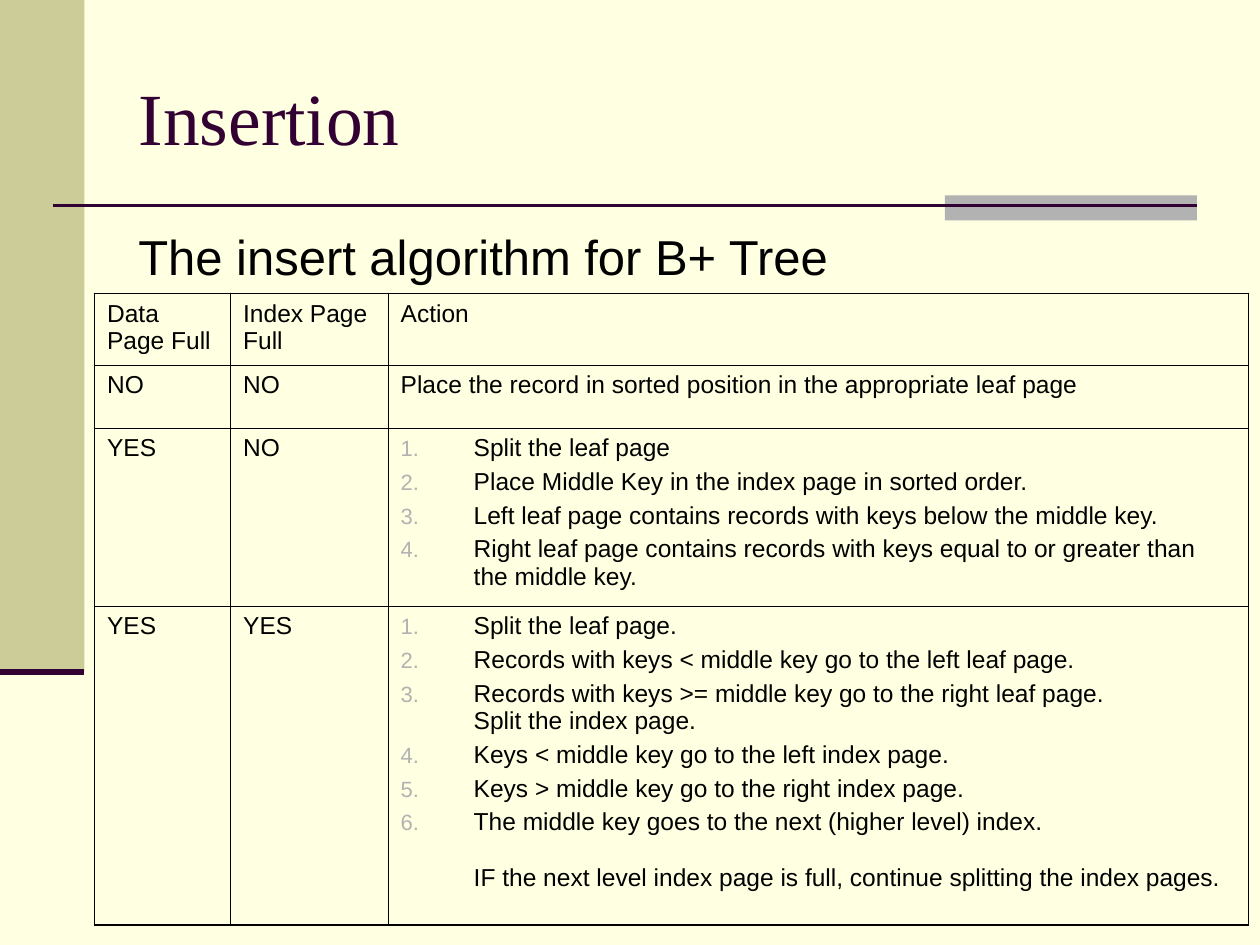
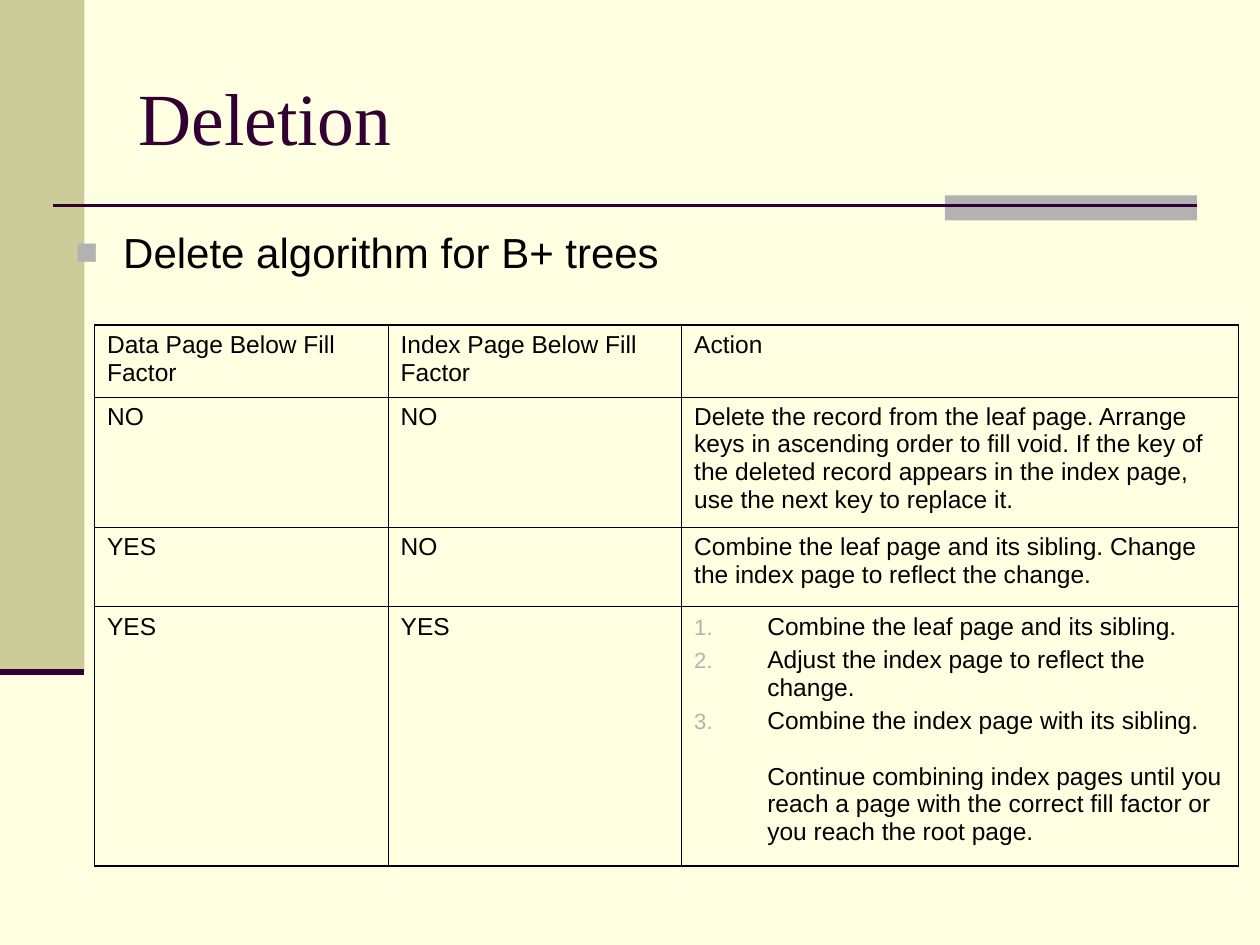
import collections

import lxml.etree
import pptx
import pptx.dml.color
import pptx.enum.shapes
import pptx.enum.text
import pptx.oxml.ns
import pptx.util

Inches = pptx.util.Inches
Pt = pptx.util.Pt

PAPER, OLIVE, GREY, PLUM, INK = "FFFFE1", "CCCC99", "B2B2B2", "330033", "000000"
OUTER_RULE, INNER_RULE = 1.08, 0.45

Steps = collections.namedtuple("Steps", "items note")


def rgb(value):
    """Turn a hex string into a colour."""
    return pptx.dml.color.RGBColor.from_string(value)


def apply(target, values):
    """Set each named attribute on the target."""
    for name, value in values.items():
        setattr(target, name, value)


def add_xml(parent, tag, **attributes):
    """Append a DrawingML element and return it."""
    return lxml.etree.SubElement(parent, pptx.oxml.ns.qn(tag), attributes)


class Deck:
    """Hold the shared style and the current slide."""

    title_font = {"name": "Times New Roman", "size": Pt(42), "bold": False}
    body_font = {"name": "Arial", "bold": False}
    cell_font = {**body_font, "size": Pt(14)}

    def __init__(self):
        """Open a 4:3 presentation on the paper colour."""
        self.prs = pptx.Presentation()
        apply(self.prs, {"slide_width": Inches(10), "slide_height": Inches(7.5)})
        self.fill(self.prs.slide_master.background, PAPER)
        self.slide = None

    def fill(self, target, colour):
        """Give the target a solid fill."""
        target.fill.solid()
        target.fill.fore_color.rgb = rgb(colour)

    def band(self, left, top, width, height, colour):
        """Draw a plain filled rectangle."""
        band = self.slide.shapes.add_shape(
            pptx.enum.shapes.MSO_SHAPE.RECTANGLE,
            Inches(left), Inches(top), Inches(width), Inches(height))
        self.fill(band, colour)
        band.line.fill.background()
        band.shadow.inherit = False

    def rule(self, start, end, y, weight):
        """Draw a horizontal line."""
        rule = self.slide.shapes.add_connector(
            pptx.enum.shapes.MSO_CONNECTOR.STRAIGHT,
            Inches(start), Inches(y), Inches(end), Inches(y))
        rule.line.width = Pt(weight)
        rule.line.color.rgb = rgb(PLUM)
        add_xml(rule.element.spPr, "a:effectLst")

    def set_text(self, paragraph, text, font, colour, **spacing):
        """Fill a left-aligned paragraph with styled text."""
        paragraph.text = text
        apply(paragraph, {"alignment": pptx.enum.text.PP_ALIGN.LEFT, **spacing})
        for run in paragraph.runs:
            apply(run.font, font)
            run.font.color.rgb = rgb(colour)

    def hang(self, paragraph, indent, marker=None, **attributes):
        """Give a paragraph a hanging indent and an optional marker."""
        props = paragraph._p.get_or_add_pPr()
        props.set("marL", str(Inches(indent)))
        props.set("indent", str(-Inches(indent) if marker else 0))
        if marker:
            add_xml(add_xml(props, "a:buClr"), "a:srgbClr", val=GREY)
            add_xml(props, "a:buSzPct", val="90000")
            add_xml(props, "a:buFont", typeface="Arial")
            add_xml(props, marker, **attributes)

    def start(self, title):
        """Begin a slide with its bands, rules and title."""
        self.slide = self.prs.slides.add_slide(self.prs.slide_layouts[5])
        self.band(0, 0, 0.67, 5.33, OLIVE)
        self.band(7.5, 1.55, 2, 0.2, GREY)
        self.rule(0.42, 9.5, 1.63, 1.5)
        self.rule(0, 0.67, 5.33, 3.5)
        heading = self.slide.shapes.title
        apply(heading, {"left": Inches(1), "top": Inches(0.3),
                        "width": Inches(8.5), "height": Inches(1.25)})
        heading.text_frame.vertical_anchor = pptx.enum.text.MSO_ANCHOR.MIDDLE
        self.set_text(heading.text_frame.paragraphs[0], title, self.title_font, PLUM)

    def subtitle(self, text, left, width, size, before, bullet=False):
        """Add the line that introduces the table."""
        box = self.slide.shapes.add_textbox(
            Inches(left), Inches(1.75), Inches(width), Inches(4.95))
        box.text_frame.word_wrap = True
        line = box.text_frame.paragraphs[0]
        self.set_text(line, text, {**self.body_font, "size": Pt(size)}, INK,
                      space_before=Pt(before))
        if bullet:
            self.hang(line, 0.38, "a:buChar", char="■")

    def steps(self, frame, steps):
        """Add numbered steps and a closing note."""
        for number, text in enumerate(steps.items):
            step = frame.add_paragraph() if number else frame.paragraphs[0]
            self.set_text(step, text, self.cell_font, INK, space_before=Pt(3.5))
            self.hang(step, 0.58, "a:buAutoNum", type="arabicPeriod")
        if steps.note:
            note = frame.add_paragraph()
            self.set_text(note, steps.note, self.cell_font, INK, space_before=Pt(16))
            self.hang(note, 0.58)

    def borders(self, cell, outer):
        """Rule the four sides, heavier on the outer ones."""
        props = cell._tc.get_or_add_tcPr()
        for position, side in enumerate("LRTB"):
            weight = OUTER_RULE if side in outer else INNER_RULE
            line = add_xml(props, f"a:ln{side}", w=str(Pt(weight)))
            add_xml(add_xml(line, "a:solidFill"), "a:srgbClr", val=INK)
            props.insert(position, line)

    def table(self, top, widths, heights, rows):
        """Add a ruled table of conditions and actions."""
        grid = self.slide.shapes.add_table(
            len(rows), len(widths), Inches(0.75), Inches(top),
            Inches(sum(widths)), Inches(sum(heights))).table
        apply(grid, {"first_row": False, "horz_banding": False})
        for column, width in zip(grid.columns, widths):
            column.width = Inches(width)
        for row, height in zip(grid.rows, heights):
            row.height = Inches(height)
        for r, row in enumerate(rows):
            for c, content in enumerate(row):
                cell = grid.cell(r, c)
                cell.fill.background()
                edges = {"L": c == 0, "R": c == len(widths) - 1,
                         "T": r == 0, "B": r == len(rows) - 1}
                self.borders(cell, [side for side, outer in edges.items() if outer])
                if isinstance(content, str):
                    self.set_text(cell.text_frame.paragraphs[0], content,
                                  self.cell_font, INK, space_before=Pt(3.5))
                else:
                    self.steps(cell.text_frame, content)


def main():
    """Build the insertion and deletion slides."""
    deck = Deck()

    deck.start("Insertion")
    deck.subtitle("The insert algorithm for B+ Tree", 1, 8.5, 28, 7)
    leaf_split = Steps([
        "Split the leaf page",
        "Place Middle Key in the index page in sorted order.",
        "Left leaf page contains records with keys below the middle key.",
        "Right leaf page contains records with keys equal to or greater than "
        "the middle key.",
    ], None)
    index_split = Steps([
        "Split the leaf page.",
        "Records with keys < middle key go to the left leaf page.",
        "Records with keys >= middle key go to the right leaf page. \v"
        "Split the index page.",
        "Keys < middle key go to the left index page.",
        "Keys > middle key go to the right index page.",
        "The middle key goes to the next (higher level) index.",
    ], "IF the next level index page is full, continue splitting the index pages.")
    deck.table(2.33, [1.08, 1.25, 6.83], [0.57, 0.5, 1.41, 2.53], [
        ("Data Page Full", "Index Page Full", "Action"),
        ("NO", "NO",
         "Place the record in sorted position in the appropriate leaf page"),
        ("YES", "NO", leaf_split),
        ("YES", "YES", index_split),
    ])

    deck.start("Deletion")
    deck.subtitle("Delete algorithm for B+ trees", 0.5, 9.5, 24, 6, bullet=True)
    index_merge = Steps([
        "Combine the leaf page and its sibling.",
        "Adjust the index page to reflect the change.",
        "Combine the index page with its sibling.",
    ], "Continue combining index pages until you reach a page with the correct "
       "fill factor or you reach the root page.")
    deck.table(2.58, [2.33, 2.33, 4.42], [0.57, 1.03, 0.63, 2.06], [
        ("Data Page Below Fill Factor", "Index Page Below Fill Factor", "Action"),
        ("NO", "NO",
         "Delete the record from the leaf page. Arrange keys in ascending order "
         "to fill void. If the key of the deleted record appears in the index "
         "page, use the next key to replace it."),
        ("YES", "NO",
         "Combine the leaf page and its sibling. Change the index page to "
         "reflect the change."),
        ("YES", "YES", index_merge),
    ])

    deck.prs.save("out.pptx")


if __name__ == "__main__":
    main()
